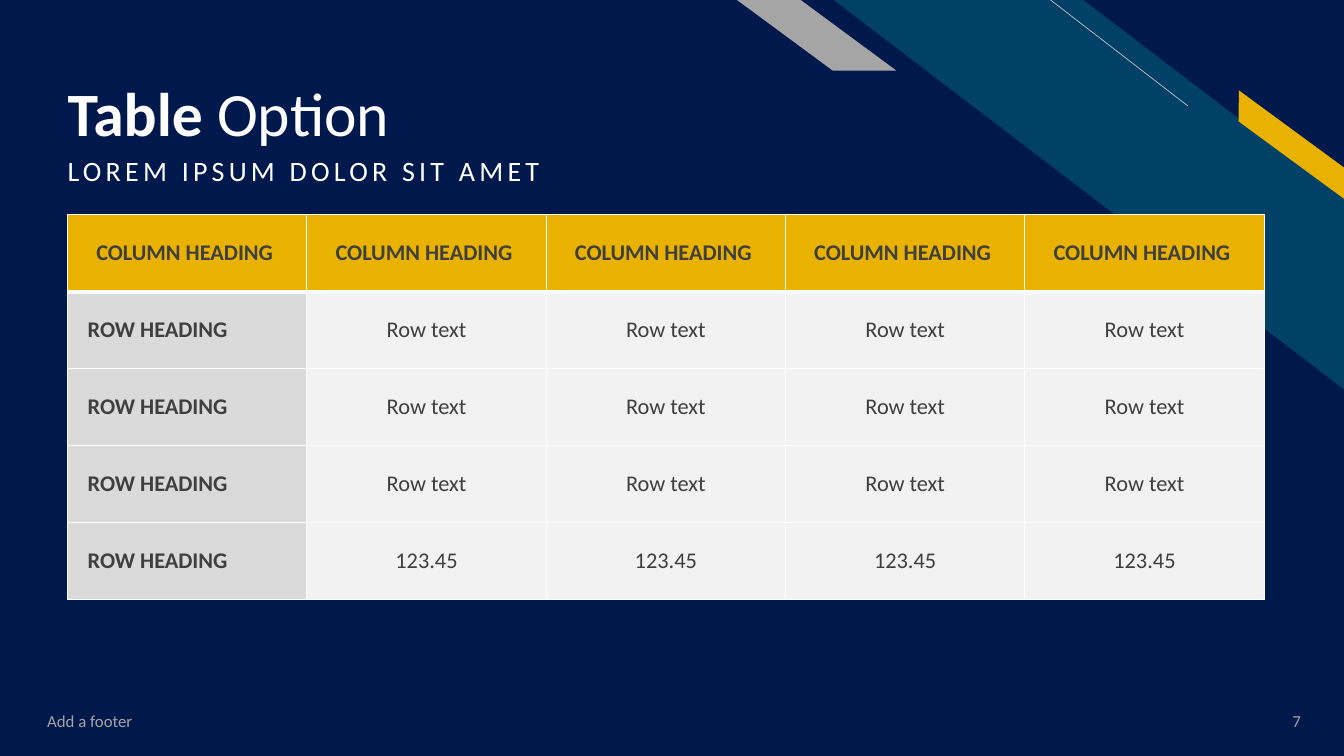
from lxml import etree
from pptx import Presentation
from pptx.dml.color import RGBColor
from pptx.enum.shapes import MSO_CONNECTOR, MSO_SHAPE
from pptx.enum.text import MSO_ANCHOR, MSO_AUTO_SIZE, PP_ALIGN
from pptx.oxml.ns import qn
from pptx.util import Pt

PX = 9144  # 100 px to the inch
NAVY, TEAL, GOLD, WHITE = "00194C", "014067", "EAB200", "FFFFFF"
GREY, PALE_GREY, ROW_GREY, CELL_GREY, INK = "A5A5A5", "BFBFBF", "DADADA", "F2F2F2", "3F3F3F"
STRIPE, SLANT = MSO_SHAPE.DIAGONAL_STRIPE, MSO_SHAPE.PARALLELOGRAM
STRAIGHT = MSO_CONNECTOR.STRAIGHT
TOP, MIDDLE, BOTTOM = MSO_ANCHOR.TOP, MSO_ANCHOR.MIDDLE, MSO_ANCHOR.BOTTOM
LEFT, CENTER, RIGHT = PP_ALIGN.LEFT, PP_ALIGN.CENTER, PP_ALIGN.RIGHT
NO_FIT = MSO_AUTO_SIZE.NONE


def px(*lengths):
    return [n * PX for n in lengths]


def rgb(color):
    return RGBColor.from_string(color)


def paint(target, color):
    target.fill.solid()
    target.fill.fore_color.rgb = rgb(color)


class SlideBuilder:
    font = "Calibri"

    def __init__(self, slide):
        self.slide = slide
        self.shapes = slide.shapes

    def background(self, color):
        paint(self.slide.background, color)

    def style(self, r, size, color, bold=False):
        r.font.name = self.font
        r.font.size = Pt(size)
        r.font.bold = bold
        r.font.color.rgb = rgb(color)

    def placeholder(self, idx, box, runs, size, anchor=TOP, spacing=0):
        """Move a placeholder and fill it with (text, bold) runs."""
        sp = self.slide.placeholders[idx]
        sp.left, sp.top, sp.width, sp.height = px(*box)
        tf = sp.text_frame
        tf.auto_size = NO_FIT
        tf.vertical_anchor = anchor
        p = tf.paragraphs[0]
        p.alignment = LEFT
        p.line_spacing = 0.9
        pPr = p._p.get_or_add_pPr()
        pPr.set("marL", "0")
        pPr.set("indent", "0")
        etree.SubElement(pPr, qn("a:buNone"))
        for text, bold in runs:
            r = p.add_run()
            r.text = text
            self.style(r, size, WHITE, bold)
            r.font._element.set("spc", str(spacing * 100))
        return sp

    def text(self, box, text, size, color, align=LEFT):
        tf = self.shapes.add_textbox(*px(*box)).text_frame
        tf.word_wrap = True
        tf.vertical_anchor = MIDDLE
        p = tf.paragraphs[0]
        p.text = text
        p.alignment = align
        self.style(p.runs[0], size, color)

    def band(self, kind, box, adjustment, color, rotation=0):
        """Draw a mirrored diagonal band."""
        sp = self.shapes.add_shape(kind, *px(*box))
        sp.adjustments[0] = adjustment
        sp.rotation = rotation
        sp._element.spPr.xfrm.set("flipH", "1")
        sp.shadow.inherit = False
        paint(sp, color)
        sp.line.fill.background()

    def line(self, start, end, color, width):
        cxn = self.shapes.add_connector(STRAIGHT, *px(*start, *end))
        cxn.line.color.rgb = rgb(color)
        cxn.line.width = Pt(width)
        etree.SubElement(cxn._element.spPr, qn("a:effectLst"))

    def borders(self, cell, color, **widths):
        tcPr = cell._tc.get_or_add_tcPr()
        for i, side in enumerate("LRTB"):
            ln = etree.Element(qn("a:ln" + side), w=str(Pt(widths.get(side, 1))))
            fill = etree.SubElement(ln, qn("a:solidFill"))
            etree.SubElement(fill, qn("a:srgbClr"), val=color)
            tcPr.insert(i, ln)

    def cell(self, cell, text, fill, bold, align=CENTER, inset=10):
        cell.text = text
        cell.vertical_anchor = MIDDLE
        cell.margin_left = inset * PX
        p = cell.text_frame.paragraphs[0]
        p.alignment = align
        self.style(p.runs[0], 16, INK, bold)
        paint(cell, fill)

    def table(self, box, rows):
        table = self.shapes.add_table(len(rows), len(rows[0]), *px(*box)).table
        for i, row in enumerate(rows):
            for j, text in enumerate(row):
                cell = table.cell(i, j)
                if i == 0:
                    self.cell(cell, text, GOLD, True)
                    self.borders(cell, WHITE, B=3)
                    continue
                if j == 0:
                    self.cell(cell, text, ROW_GREY, True, LEFT, 20)
                else:
                    self.cell(cell, text, CELL_GREY, False)
                self.borders(cell, WHITE, T=3 if i == 1 else 1)


def main():
    prs = Presentation()
    prs.slide_width, prs.slide_height = px(1333, 750)
    s = SlideBuilder(prs.slides.add_slide(prs.slide_layouts[1]))
    s.background(NAVY)

    s.band(STRIPE, (827, 0, 507, 387), 0.512, TEAL)
    s.line((1178, 105), (1042, 0), PALE_GREY, 0.5)
    s.band(SLANT, (1207, 131, 148, 25), 0.72, GOLD, rotation=36.3)
    s.band(SLANT, (731, 0, 158, 70), 1.356, GREY)

    title = s.placeholder(0, (57, 23, 911, 126), [("Table ", True), ("Option", False)],
                          44, BOTTOM)
    title.text_frame.margin_bottom = 0
    subtitle = s.placeholder(1, (57, 151, 806, 67), [("LOREM IPSUM DOLOR SIT AMET", False)],
                             20, spacing=3)
    subtitle.text_frame.paragraphs[0].space_before = Pt(10)

    rows = [["COLUMN HEADING "] * 5]
    rows += [["ROW HEADING"] + [value] * 4 for value in ["Row text"] * 3 + ["123.45"]]
    s.table((67, 213, 1187, 382), rows)

    s.text((37, 695, 450, 40), "Add a footer", 12, GREY)
    s.text((1219, 695, 81, 40), "7", 12, GREY, RIGHT)
    prs.save("out.pptx")


if __name__ == "__main__":
    main()
